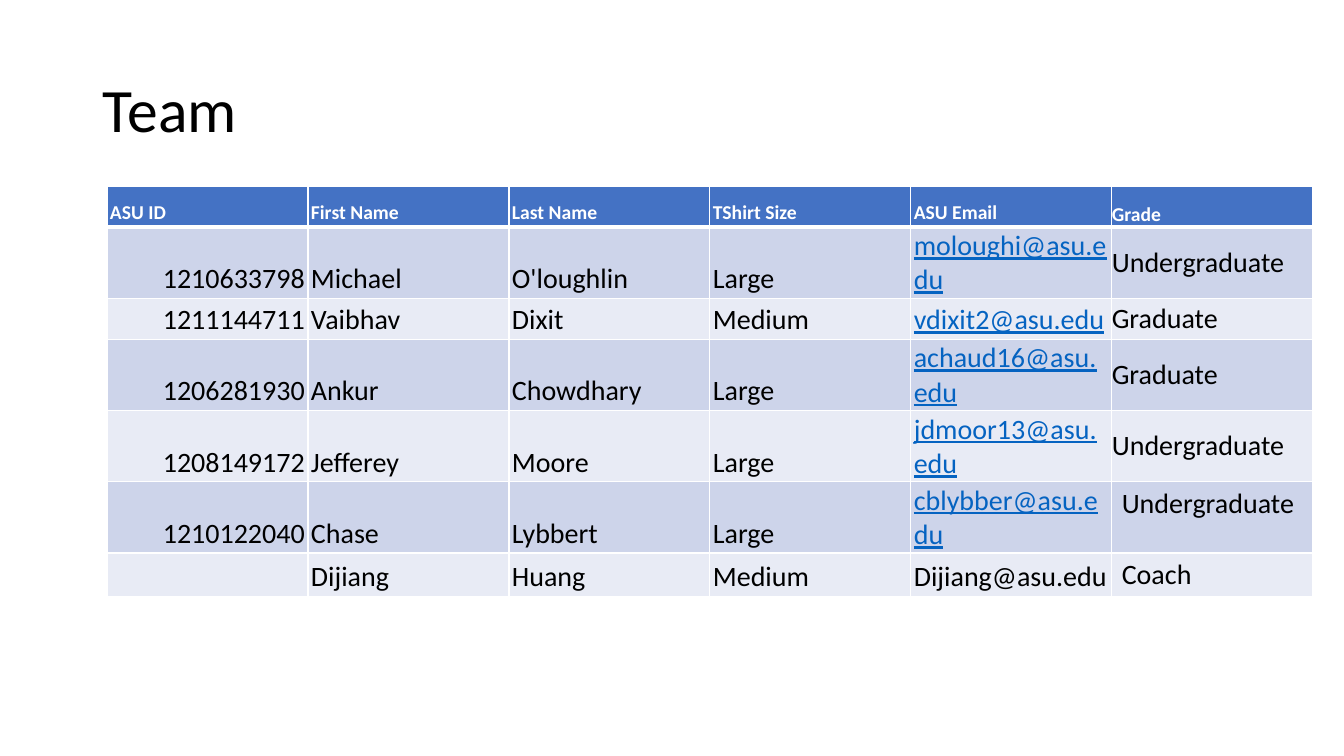
from dataclasses import dataclass

from lxml import etree
from pptx import Presentation
from pptx.dml.color import RGBColor
from pptx.enum.text import MSO_ANCHOR, PP_ALIGN
from pptx.oxml.ns import qn
from pptx.util import Emu, Pt

TOP, MIDDLE, BOTTOM = MSO_ANCHOR.TOP, MSO_ANCHOR.MIDDLE, MSO_ANCHOR.BOTTOM
LEFT, RIGHT, JUSTIFY = PP_ALIGN.LEFT, PP_ALIGN.RIGHT, PP_ALIGN.JUSTIFY
BLANK_LAYOUT = 6
PX = 914400 / 100.8


@dataclass(frozen=True)
class Theme:
    """Colours, font and type sizes of the slide."""
    font: str = "Calibri"
    text: str = "000000"
    white: str = "FFFFFF"
    header: str = "4472C4"
    odd_row: str = "CDD4EA"
    even_row: str = "E8EBF5"
    link: str = "0563C1"
    title_pt: int = 44
    header_pt: int = 14
    body_pt: int = 20
    line_pt: int = 1
    header_line_pt: int = 3


THEME = Theme()
TIGHT, NONE, ROOMY = (3, 2), (0, 0), (10, 5)
ID_COL, EMAIL_COL, GRADE_COL = 0, 4, 5
COACH_ROW = 6
ROW_H = 41

TEAM = [
    ["ASU ID", "First Name", "Last Name", "TShirt Size", "ASU Email", "Grade"],
    ["1210633798", "Michael", "O'loughlin", "Large", "moloughi@asu.edu", "Undergraduate"],
    ["1211144711", "Vaibhav", "Dixit", "Medium", "vdixit2@asu.edu", "Graduate"],
    ["1206281930", "Ankur", "Chowdhary", "Large", "achaud16@asu.edu", "Graduate"],
    ["1208149172", "Jefferey", "Moore", "Large", "jdmoor13@asu.edu", "Undergraduate"],
    ["1210122040", "Chase", "Lybbert", "Large", "cblybber@asu.edu", "Undergraduate"],
    ["", "Dijiang", "Huang", "Medium", "Dijiang@asu.edu", "Coach"],
]


def px(n):
    """Turn pixels into EMU."""
    return Emu(round(n * PX))


def write(tf, text, size, color=THEME.text, bold=False, underline=False,
          align=LEFT, spacing=None):
    """Write one formatted paragraph into a text frame."""
    p = tf.paragraphs[0]
    p.alignment = align
    p.line_spacing = spacing
    r = p.add_run()
    r.text = text
    r.font.name = THEME.font
    r.font.size = Pt(size)
    r.font.bold = bold
    r.font.underline = underline
    r.font.color.rgb = RGBColor.from_string(color)


def set_margins(box, insets):
    """Set the horizontal and vertical insets of a cell or text frame."""
    x, y = insets
    box.margin_left = box.margin_right = px(x)
    box.margin_top = box.margin_bottom = px(y)


def set_borders(cell, top, bottom):
    """Draw white lines on the four sides of a cell."""
    tc_pr = cell._tc.get_or_add_tcPr()
    sides = {"L": THEME.line_pt, "R": THEME.line_pt, "T": top, "B": bottom}
    for side, width in sides.items():
        ln = etree.SubElement(tc_pr, qn(f"a:ln{side}"), w=str(Pt(width)))
        fill = etree.SubElement(ln, qn("a:solidFill"))
        etree.SubElement(fill, qn("a:srgbClr"), val=THEME.white)


def cell_layout(row, col):
    """Return the anchor and insets of a table cell."""
    if col != GRADE_COL:
        return BOTTOM, TIGHT
    if row == 0:
        return BOTTOM, NONE
    return (MIDDLE, NONE) if row < COACH_ROW - 1 else (TOP, ROOMY)


def cell_format(row, col):
    """Return the text format of a table cell."""
    if row == 0:
        return dict(size=THEME.header_pt, color=THEME.white, bold=True, align=JUSTIFY)
    is_link = col == EMAIL_COL and row != COACH_ROW
    return dict(size=THEME.body_pt, color=THEME.link if is_link else THEME.text,
                underline=is_link, align=RIGHT if col == ID_COL else LEFT)


def row_fill(row):
    """Return the fill colour of a table row."""
    if row == 0:
        return THEME.header
    return THEME.odd_row if row % 2 else THEME.even_row


def add_title(slide, text, x, y, w, h):
    """Place the slide title in its box."""
    tf = slide.shapes.add_textbox(px(x), px(y), px(w), px(h)).text_frame
    tf.word_wrap = True
    tf.vertical_anchor = MIDDLE
    set_margins(tf, ROOMY)
    write(tf, text, THEME.title_pt, spacing=0.9)


def add_team_table(slide, rows, x, y, w):
    """Place the team table with equal columns across the given width."""
    n_cols = len(rows[0])
    table = slide.shapes.add_table(len(rows), n_cols, px(x), px(y), px(w),
                                   px(ROW_H * len(rows))).table
    for column in table.columns:
        column.width = px(w / n_cols)
    for i, values in enumerate(rows):
        table.rows[i].height = px(ROW_H)
        top = THEME.header_line_pt if i == 1 else THEME.line_pt
        bottom = THEME.header_line_pt if i == 0 else THEME.line_pt
        for j, value in enumerate(values):
            cell = table.cell(i, j)
            set_borders(cell, top, bottom)
            cell.fill.solid()
            cell.fill.fore_color.rgb = RGBColor.from_string(row_fill(i))
            cell.vertical_anchor, insets = cell_layout(i, j)
            set_margins(cell, insets)
            if value:
                write(cell.text_frame, value, **cell_format(i, j))


def main():
    """Build and save the presentation."""
    prs = Presentation()
    prs.slide_width, prs.slide_height = px(1344), px(756)
    slide = prs.slides.add_slide(prs.slide_layouts[BLANK_LAYOUT])
    add_title(slide, "Team", 93, 40, 1159, 146)
    add_team_table(slide, TEAM, 107, 186, 1206)
    prs.save("out.pptx")


if __name__ == "__main__":
    main()
